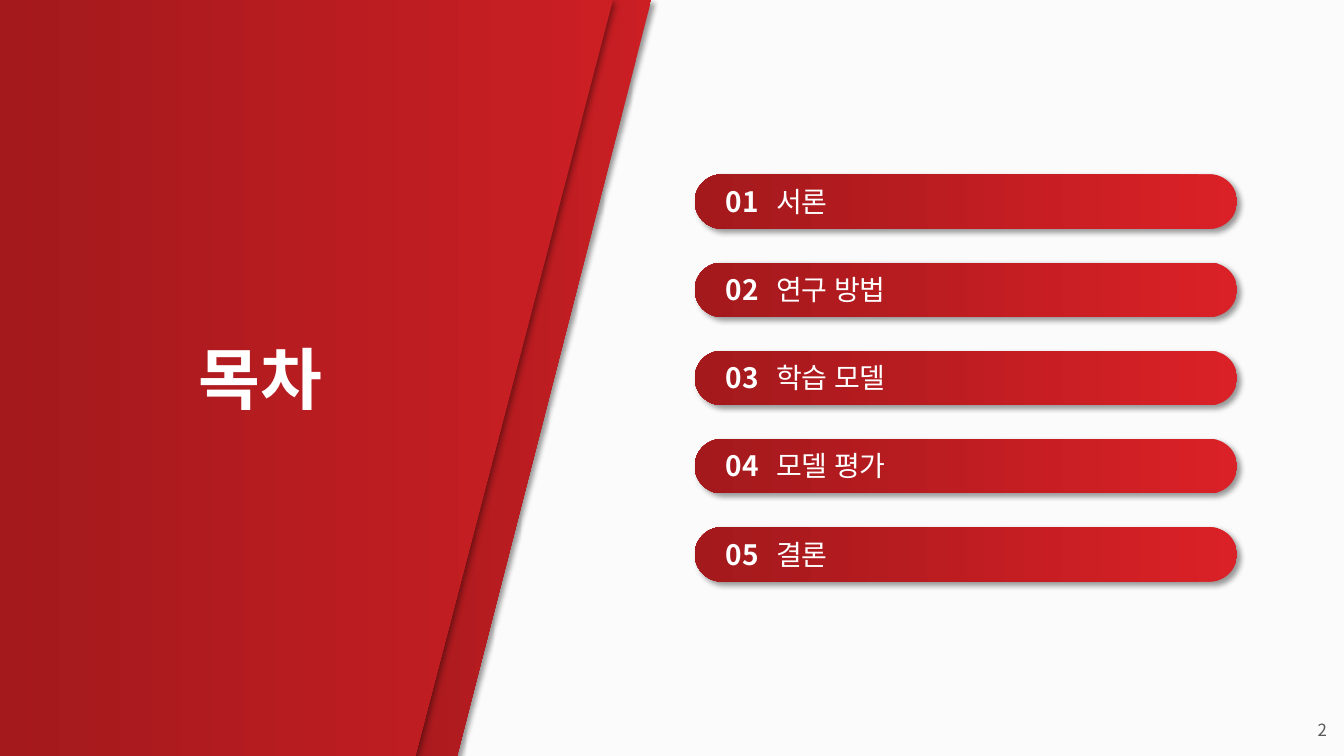
from lxml import etree
from pptx import Presentation
from pptx.dml.color import RGBColor as RGB
from pptx.enum.shapes import MSO_SHAPE as Shape
from pptx.enum.text import MSO_AUTO_SIZE as Auto, PP_ALIGN as Align
from pptx.oxml import parse_xml
from pptx.oxml.ns import qn
from pptx.util import Inches, Pt

# Content
TITLE = "목차"
ITEMS = ["서론", "연구 방법", "학습 모델", "모델 평가", "결론"]
PAGE = "2"

# Style
COLORS = {"back": "FBFBFB", "bright": "DA2127", "mid": "CB1F24",
          "dark": "A3191C", "text": "FFFFFF", "page": "595959"}
FONT = "Noto Sans CJK KR"
SHADOW = """<a:effectLst xmlns:a="http://schemas.openxmlformats.org/drawingml/2006/main">
<a:outerShdw blurRad="50800" dist="38100" dir="2700000" algn="tl" rotWithShape="0">
<a:srgbClr val="000000"><a:alpha val="40000"/></a:srgbClr></a:outerShdw></a:effectLst>"""

# Menu layout
LEFT, TOP, STEP = 6.89, 1.73, 0.875
WIDTH, HEIGHT = 5.38, 0.54


def paint(shape, start):
    """Give a shape the red gradient and a soft shadow."""
    shape.fill.gradient()
    shape.fill.gradient_angle = 180
    for stop, name in zip(shape.fill.gradient_stops, (start, "dark")):
        stop.color.rgb = RGB.from_string(COLORS[name])
    shape.line.fill.background()
    shape.shadow.inherit = False
    props = shape._element.spPr
    props.replace(props.find(qn("a:effectLst")), parse_xml(SHADOW))


def write(shapes, text, box, size, color="text", bold=False,
          align=Align.LEFT, font=FONT):
    area = shapes.add_textbox(*map(Inches, box))
    frame = area.text_frame
    frame.word_wrap = True
    frame.auto_size = Auto.SHAPE_TO_FIT_TEXT
    para = frame.paragraphs[0]
    para.text, para.alignment = text, align
    face = para.font
    face.name, face.size, face.bold = font, Pt(size), bold
    face.color.rgb = RGB.from_string(COLORS[color])
    # East Asian face for the Korean text
    props = para._p.pPr.find(qn("a:defRPr"))
    etree.SubElement(props, qn("a:ea")).set("typeface", font)


deck = Presentation()
deck.slide_width, deck.slide_height = Inches(13.33), Inches(7.5)
slide = deck.slides.add_slide(deck.slide_layouts[6])
slide.background.fill.solid()
slide.background.fill.fore_color.rgb = RGB.from_string(COLORS["back"])

# Menu: one group per section
for i, item in enumerate(ITEMS):
    top = TOP + i * STEP
    group = slide.shapes.add_group_shape().shapes
    pill = group.add_shape(Shape.ROUNDED_RECTANGLE, *map(
        Inches, (LEFT, top, WIDTH, HEIGHT)))
    pill.adjustments[0] = 0.5
    paint(pill, "bright")
    write(group, item, (7.6, top + 0.05, 5.25, 0.44), 20)
    write(group, f"{i + 1:02}", (7.1, top + 0.05, 2.69, 0.44), 20, bold=True)

# Slanted panel and the stripe behind it
stripe = slide.shapes.add_shape(Shape.PARALLELOGRAM, *map(
    Inches, (3.56, 0, 2.9, 7.5)))
stripe.adjustments[0] = 0.664
paint(stripe, "mid")

edge = [(-0.02, 0), (6.08, 0), (4.12, 7.5), (-0.02, 7.5)]
points = [(Inches(x), Inches(y)) for x, y in edge]
outline = slide.shapes.build_freeform(*points[0])
outline.add_line_segments(points[1:], close=True)
paint(outline.convert_to_shape(), "mid")

# Title and page number
write(slide.shapes, TITLE, (0.24, 3.3, 4.68, 0.91), 48, bold=True,
      align=Align.CENTER, font="Arial")
write(slide.shapes, PAGE, (11.66, 7.09, 1.6, 0.3), 12, "page",
      align=Align.RIGHT)

deck.save("out.pptx")
